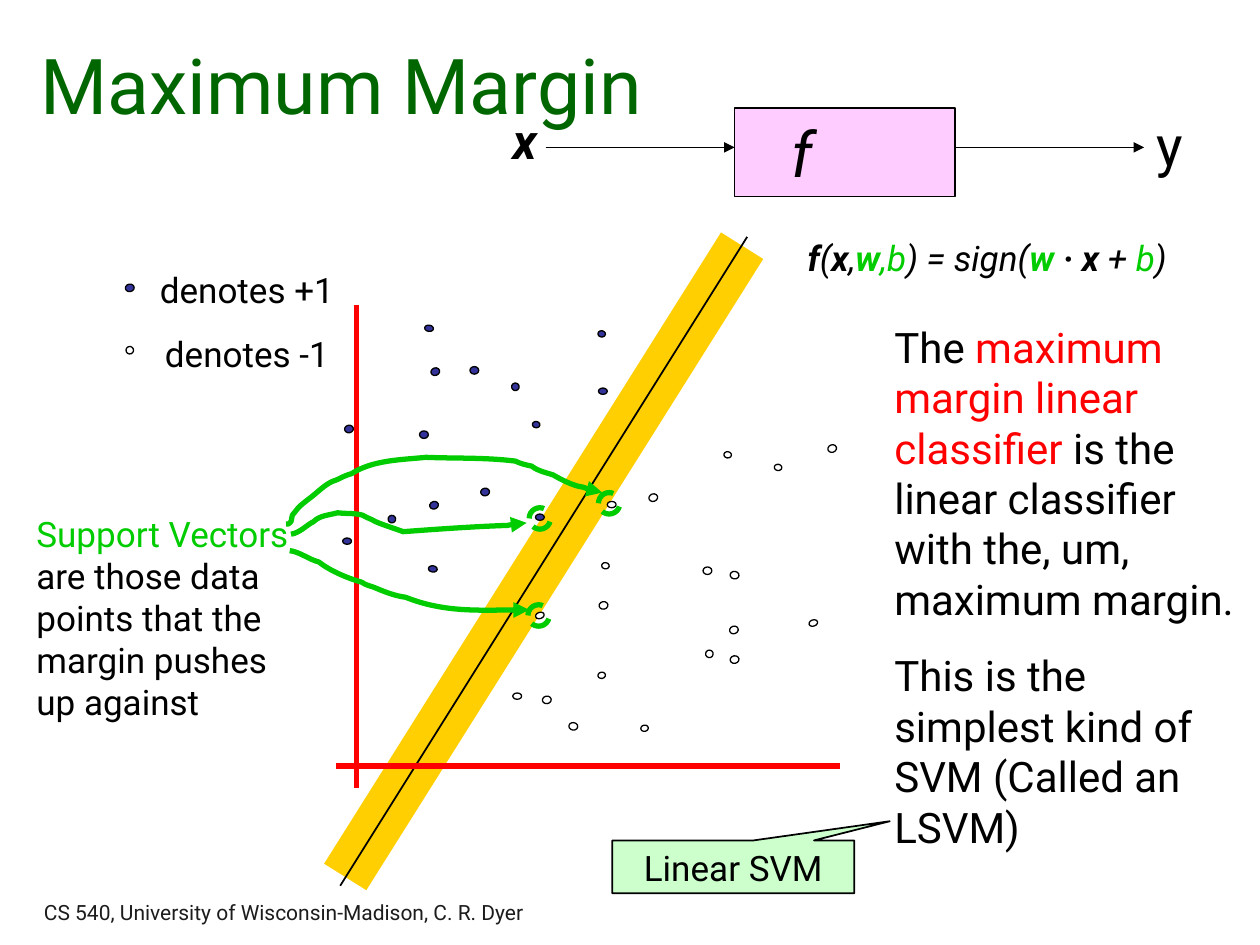
from lxml.etree import SubElement
from pptx import Presentation
from pptx.dml.color import RGBColor
from pptx.enum.dml import MSO_LINE
from pptx.enum.shapes import MSO_CONNECTOR, MSO_SHAPE
from pptx.enum.text import MSO_ANCHOR, PP_ALIGN
from pptx.oxml.ns import qn
from pptx.util import Cm, Pt

COLORS = {
    "black": "000000", "white": "FFFFFF", "title": "006600", "red": "FF0000",
    "green": "00CC00", "navy": "333399", "gold": "FFCF01", "pink": "FFCCFF",
    "mint": "CCFFCC", "footer": "1C1C1C",
}
PALETTE = {name: RGBColor.from_string(value) for name, value in COLORS.items()}


def inch(value):
    return Cm(2.54 * value)


def write(shape, paragraphs, size, color="black", align=PP_ALIGN.CENTER,
          gap=0, anchor=MSO_ANCHOR.TOP, italic=False):
    """Fill a shape with paragraphs, each a list of (text, color, bold) spans."""
    frame = shape.text_frame
    frame.word_wrap = True
    frame.vertical_anchor = anchor
    for index, spans in enumerate(paragraphs):
        para = frame.add_paragraph() if index else frame.paragraphs[0]
        para.alignment = align
        if index:
            para.space_before = Pt(gap)
        para.font.name = "Roboto"
        para.font.size = Pt(size)
        para.font.italic = italic
        para.font.color.rgb = PALETTE[color]
        for text, span_color, bold in spans:
            span = para.add_run()
            span.text = text
            if span_color:
                span.font.color.rgb = PALETTE[span_color]
            if bold:
                span.font.bold = True


deck = Presentation()
deck.slide_width, deck.slide_height = inch(10), inch(7.5)
page = deck.slides.add_slide(deck.slide_layouts[6])
shapes = page.shapes
arrows = []

# Margin band, decision boundary, axes and the flow arrows
for x1, y1, x2, y2, color, width, has_head in [
    (2.74, 6.96, 5.89, 1.95, "gold", 28.5, False),
    (2.7, 7.03, 5.93, 1.88, "black", 1, False),
    (2.83, 2.42, 2.83, 6.25, "red", 3, False),
    (2.67, 6.08, 6.67, 6.08, "red", 3, False),
    (4.33, 1.17, 5.83, 1.17, "black", 1, True),
    (7.58, 1.17, 9.08, 1.17, "black", 1, True),
]:
    line = shapes.add_connector(MSO_CONNECTOR.STRAIGHT,
                                inch(x1), inch(y1), inch(x2), inch(y2))
    line.line.color.rgb = PALETTE[color]
    line.line.width = Pt(width)
    SubElement(line._element.spPr, qn("a:effectLst"))
    if has_head:
        arrows.append(line)

# Text boxes
LEFT = PP_ALIGN.LEFT
formula = [
    ("f", None, True), ("(", None, False), ("x", None, True), (",", None, False),
    ("w", "green", True), (",b", "green", False), (") = sign(", None, False),
    ("w ", "green", True), ("· x ", None, True), ("+ ", None, False),
    ("b", "green", False), (")", None, False),
]
explanation = [
    [("The ", None, False), ("maximum margin linear classifier", "red", False),
     (" is the linear classifier with the, um, maximum margin.", None, False)],
    [("This is the simplest kind of SVM (Called an LSVM)", None, False)],
]
support = [("Support Vectors ", "green", False),
           ("are those data points that the margin pushes up against", None, False)]
legend = [[("denotes +1", None, False)], [("denotes -1", None, False)]]
footer = "CS 540, University of Wisconsin-Madison, C. R. Dyer"
BOTTOM = MSO_ANCHOR.BOTTOM
for place, paragraphs, size, options in [
    ((0.17, 0.33, 5.08, 0.75), [[("Maximum Margin", None, False)]], 44,
     {"color": "title", "anchor": BOTTOM}),
    ((3.83, 0.83, 0.67, 0.57), [[("x", None, True)]], 28, {"italic": True}),
    ((9.08, 0.83, 0.92, 0.64), [[("y", None, False)]], 32, {"align": LEFT}),
    ((0.92, 2.08, 2.08, 0.94), legend, 20, {"gap": 12.5}),
    ((6, 1.83, 3.67, 0.44), [formula], 20, {"italic": True}),
    ((7, 2.5, 3, 4.71), explanation, 24, {"align": LEFT, "gap": 15}),
    ((0.19, 4.02, 2.32, 1.77), [support], 20, {"align": LEFT}),
    ((0.25, 7.11, 5.55, 0.28), [[(footer, None, False)]], 12,
     {"color": "footer", "align": LEFT, "anchor": BOTTOM}),
]:
    box = shapes.add_textbox(*map(inch, place))
    write(box, paragraphs, size, **options)

# Function box and callout
function_box = shapes.add_shape(MSO_SHAPE.RECTANGLE, *map(inch, (5.83, 0.86, 1.75, 0.7)))
write(function_box, [[("f", None, False)]], 36, italic=True, anchor=MSO_ANCHOR.MIDDLE)
function_box.text_frame.margin_right = inch(0.77)
callout = shapes.add_shape(MSO_SHAPE.RECTANGULAR_CALLOUT,
                           *map(inch, (4.86, 6.67, 1.92, 0.42)))
callout.adjustments[0], callout.adjustments[1] = 0.647, -0.863
write(callout, [[("Linear SVM", None, False)]], 20)
outlined = [(function_box, "pink", 1), (callout, "mint", 1)]

# Data points with the legend markers: rotation, width, height, class, corners
for rotation, width, height, color, corners in [
    (0, 0.07, 0.05, "navy", [(2.72, 4.27), (4.75, 3.08), (4.25, 4.08)]),
    (0, 0.07, 0.06, "navy", [(3.73, 2.91), (3.33, 3.42)]),
    (0, 0.07, 0.05, "white", [(4.07, 5.5), (4.82, 3.98)]),
    (0, 0.07, 0.06, "white", [(5.58, 4.5)]),
    (341.4, 0.07, 0.06, "navy", [(3.42, 2.92), (3.41, 3.98)]),
    (341.4, 0.07, 0.06, "white", [(6.57, 3.53), (5.79, 4.97), (5.15, 3.92)]),
    (341.4, 0.07, 0.05, "white", [(4.25, 4.86), (6.42, 4.92)]),
    (98.2, 0.05, 0.06, "navy", [(4.23, 3.34), (4.75, 2.62)]),
    (98.2, 0.05, 0.07, "navy", [(3.41, 4.48), (3.38, 2.57)]),
    (98.2, 0.05, 0.06, "white", [(4.78, 4.46), (6.15, 3.68), (5.75, 3.58)]),
    (98.2, 0.06, 0.06, "white", [(1, 2.75), (5.6, 5.16)]),
    (98.2, 0.06, 0.07, "white", [(4.52, 5.73), (5.8, 4.53)]),
    (79.6, 0.06, 0.07, "navy", [(1, 2.25), (3.82, 3.87), (2.74, 3.37)]),
    (79.6, 0.06, 0.06, "navy", [(3.08, 4.09), (4.06, 3.04)]),
    (79.6, 0.05, 0.06, "white", [(5.09, 5.75), (4.75, 5.33)]),
    (79.6, 0.06, 0.07, "white", [(4.76, 4.77), (4.31, 5.52), (5.8, 5.2)]),
]:
    for x, y in corners:
        dot = shapes.add_shape(MSO_SHAPE.OVAL, *map(inch, (x, y, width, height)))
        dot.rotation = rotation
        outlined.append((dot, color, 0.75))

for shape, color, width in outlined:
    shape.shadow.inherit = False
    shape.fill.solid()
    shape.fill.fore_color.rgb = PALETTE[color]
    shape.line.color.rgb = PALETTE["black"]
    shape.line.width = Pt(width)

# Curved arrows to the support vectors: a start, then cubic Bézier triples
green_strokes = []
for curve in [
    [(2.31, 4.24), (2.38, 4.23), (2.43, 4.17), (2.49, 4.14), (2.54, 4.09), (2.61, 4.09),
     (2.68, 4.07), (2.77, 4.08), (2.81, 4.07), (2.88, 4.09), (2.91, 4.11), (2.95, 4.12),
     (2.98, 4.14), (3.05, 4.17), (3.12, 4.19), (3.2, 4.22), (3.47, 4.2), (3.75, 4.18),
     (4.03, 4.17), (4.08, 4.16), (4.13, 4.15), (4.18, 4.15)],
    [(2.27, 4.16), (2.28, 4.16), (2.3, 4.16), (2.3, 4.15), (2.32, 4.14), (2.31, 4.11),
     (2.32, 4.09), (2.33, 4.07), (2.35, 4.06), (2.36, 4.04), (2.38, 4.01), (2.48, 3.94),
     (2.49, 3.93), (2.55, 3.88), (2.6, 3.83), (2.67, 3.81), (2.71, 3.79), (2.75, 3.77),
     (2.79, 3.76), (2.96, 3.65), (3.19, 3.65), (3.38, 3.63), (3.62, 3.64), (3.85, 3.63),
     (4.09, 3.66), (4.13, 3.68), (4.17, 3.69), (4.22, 3.7), (4.27, 3.74), (4.33, 3.75),
     (4.39, 3.77), (4.46, 3.81), (4.52, 3.84), (4.59, 3.86), (4.65, 3.87), (4.72, 3.91),
     (4.78, 3.91)],
    [(2.3, 4.37), (2.38, 4.38), (2.45, 4.44), (2.53, 4.46), (2.62, 4.53), (2.76, 4.59),
     (2.87, 4.62), (2.91, 4.65), (2.95, 4.65), (2.99, 4.67), (3.06, 4.7), (3.14, 4.73),
     (3.22, 4.74), (3.52, 4.86), (3.88, 4.84), (4.2, 4.84)],
]:
    builder = shapes.build_freeform(*map(inch, curve[0]))
    builder.add_line_segments([(inch(x), inch(y)) for x, y in curve[1:]], close=False)
    pointer = builder.convert_to_shape()
    # Turn every three straight segments into one cubic curve
    outline = next(pointer._element.iter(qn("a:moveTo"))).getparent()
    segments = outline.findall(qn("a:lnTo"))
    for start in range(0, len(segments), 3):
        cubic = SubElement(outline, qn("a:cubicBezTo"))
        for segment in segments[start:start + 3]:
            cubic.append(segment[0])
            outline.remove(segment)
    green_strokes.append((pointer, None))
    arrows.append(pointer)

# Dashed rings around the support vectors
for x, y in [(4.75, 3.91), (4.2, 4.03), (4.19, 4.8)]:
    ring = shapes.add_shape(MSO_SHAPE.OVAL, *map(inch, (x, y, 0.17, 0.17)))
    green_strokes.append((ring, MSO_LINE.DASH))

for shape, dash in green_strokes:
    shape.shadow.inherit = False
    shape.fill.background()
    shape.line.color.rgb = PALETTE["green"]
    shape.line.width = Pt(3)
    shape.line.dash_style = dash

# Arrowheads
for arrow in arrows:
    SubElement(arrow.line._get_or_add_ln(), qn("a:tailEnd"), type="triangle")

deck.save("out.pptx")
